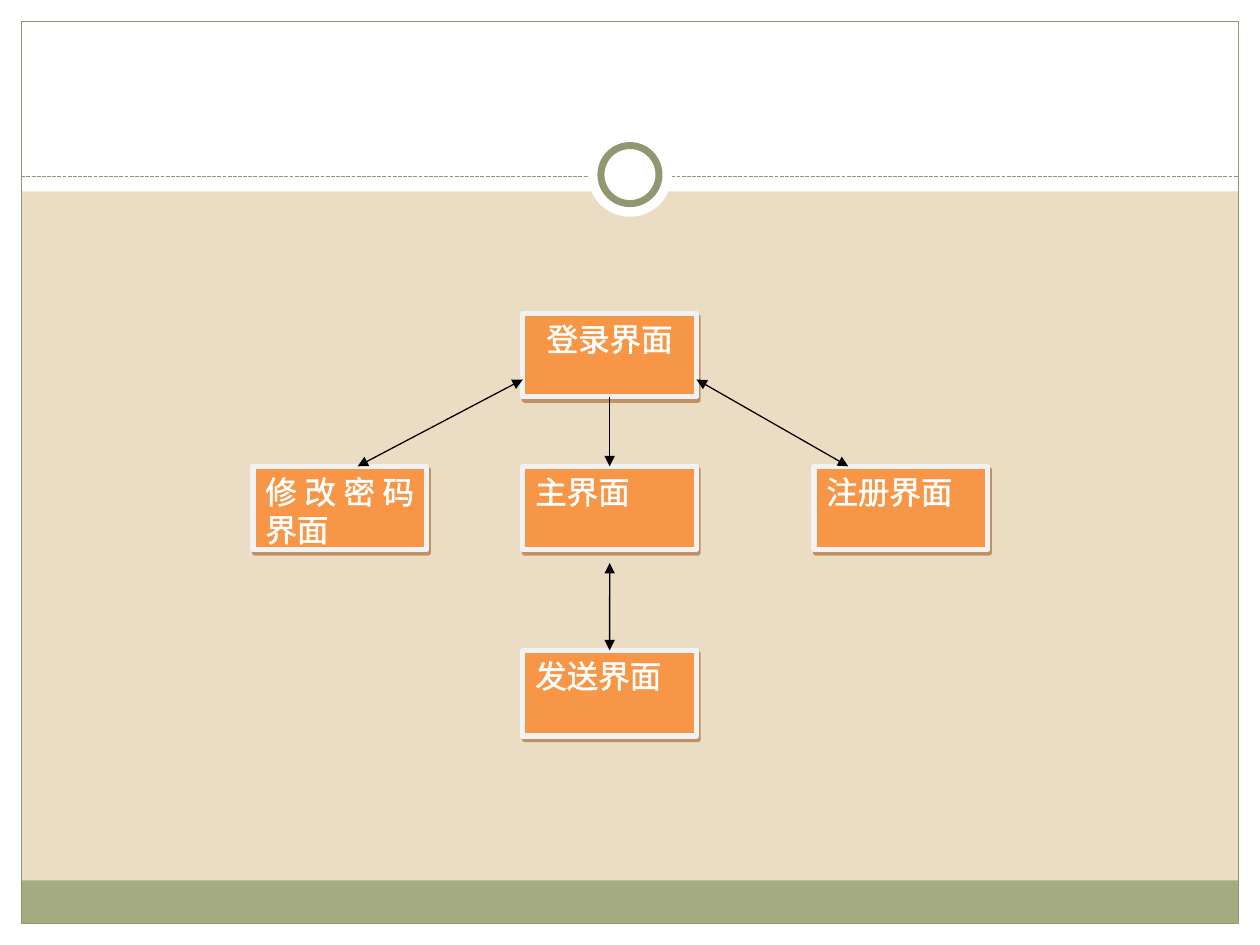
from lxml import etree
from pptx import Presentation
from pptx.dml.color import RGBColor
from pptx.enum.dml import MSO_LINE
from pptx.enum.shapes import MSO_CONNECTOR, MSO_SHAPE
from pptx.enum.text import MSO_ANCHOR, PP_ALIGN
from pptx.oxml.ns import qn
from pptx.util import Cm, Pt

RECT, OVAL = MSO_SHAPE.RECTANGLE, MSO_SHAPE.OVAL
STRAIGHT = MSO_CONNECTOR.STRAIGHT
DASH = MSO_LINE.SQUARE_DOT
CENTER, JUSTIFY = PP_ALIGN.CENTER, PP_ALIGN.JUSTIFY
TOP = MSO_ANCHOR.TOP
TOP_SIDE, BOTTOM_SIDE = 0, 2

COLORS = {
    "sand": "EBDDC3", "white": "FFFFFF", "sage": "A5AB81", "olive": "929772",
    "orange": "F79646", "border": "F2F2F2", "shadow": "974706", "black": "000000",
}
FONT = "Calibri"
SLIDE_W, SLIDE_H = 25.4, 19.05


def rgb(name):
    return RGBColor.from_string(COLORS[name])


def add_child(parent, tag, **attributes):
    return etree.SubElement(parent, qn(tag), attributes)


def add_color(parent, name):
    return add_child(parent, "a:srgbClr", val=COLORS[name])


def add_panel(slide, box, fill=None, line=None, width=0.75, kind=RECT):
    panel = slide.shapes.add_shape(kind, *map(Cm, box))
    panel.shadow.inherit = False
    if fill:
        panel.fill.solid()
        panel.fill.fore_color.rgb = rgb(fill)
    else:
        panel.fill.background()
    if line:
        panel.line.color.rgb = rgb(line)
        panel.line.width = Pt(width)
    else:
        panel.line.fill.background()
    return panel


def add_line(slide, start, end, color):
    line = slide.shapes.add_connector(STRAIGHT, *map(Cm, start + end))
    line.line.color.rgb = rgb(color)
    line.line.width = Pt(0.75)
    add_child(line._element.spPr, "a:effectLst")
    return line


def add_arrow(slide, start, end, both_ways=True):
    arrow = add_line(slide, start, end, "black")
    outline = arrow.line._get_or_add_ln()
    if both_ways:
        add_child(outline, "a:headEnd", type="triangle")
    add_child(outline, "a:tailEnd", type="triangle")
    return arrow


def add_screen(slide, box, label, align=JUSTIFY):
    screen = add_panel(slide, box, "orange", "border", 3)
    # Hard-edged shadow, half transparent
    effects = screen._element.spPr.find(qn("a:effectLst"))
    shadow = add_child(effects, "a:outerShdw", dist=str(Pt(2.2)),
                       dir="3780000", algn="ctr", rotWithShape="0")
    add_child(add_color(shadow, "shadow"), "a:alpha", val="50000")
    # Label with a thin white outline
    frame = screen.text_frame
    frame.word_wrap = True
    frame.vertical_anchor = TOP
    paragraph = frame.paragraphs[0]
    paragraph.alignment = align
    run = paragraph.add_run()
    run.text = label
    run.font.size = Pt(18)
    run.font.name = FONT
    run.font.color.rgb = rgb("white")
    outline = etree.Element(qn("a:ln"), w=str(Pt(1.45)))
    add_color(add_child(outline, "a:solidFill"), "white")
    run.font._element.insert(0, outline)
    return screen


def add_frame(slide, box, header_h):
    left, top, width, height = box
    right, bottom = left + width, top + height
    footer_h = 0.87
    # White margins and header
    for margin in ((0, bottom, SLIDE_W, SLIDE_H - bottom),
                   (0, 0, SLIDE_W, header_h),
                   (0, 0, left, SLIDE_H),
                   (right, 0, SLIDE_W - right, SLIDE_H)):
        add_panel(slide, margin, "white")
    # Footer band, border and dashed divider
    add_panel(slide, (left, bottom - footer_h, width, footer_h), "sage")
    add_panel(slide, box, line="olive")
    divider_y = header_h - 0.3
    divider = add_line(slide, (left, divider_y), (right, divider_y), "olive")
    divider.line.dash_style = DASH
    # Ring over the divider
    center_x, center_y = left + width / 2, divider_y - 0.04
    for size, line in ((1.7, None), (1.17, "olive")):
        add_panel(slide, (center_x - size / 2, center_y - size / 2, size, size),
                  "white", line, 4, OVAL)


def add_screen_map(slide, left, top):
    box_w, box_h = 3.5, 1.68
    middle_x, right_x = left + 5.44, left + 11.31
    row_2, row_3 = top + 3.08, top + 6.79
    # Screens
    add_screen(slide, (left, row_2, box_w, box_h), "修改密码界面")
    login = add_screen(slide, (middle_x, top, box_w, box_h), "登录界面", CENTER)
    add_screen(slide, (right_x, row_2, box_w, box_h), "注册界面")
    main_screen = add_screen(slide, (middle_x, row_2, box_w, box_h), "主界面")
    # Links between screens
    center_x, side_y = middle_x + box_w / 2, top + 1.33
    add_arrow(slide, (left + 2.11, row_2), (middle_x, side_y))
    add_arrow(slide, (middle_x + box_w, side_y), (right_x + 0.69, row_2))
    to_main = add_arrow(slide, (center_x, top + box_h), (center_x, row_2), False)
    to_main.begin_connect(login, BOTTOM_SIDE)
    to_main.end_connect(main_screen, TOP_SIDE)
    sending = add_screen(slide, (middle_x, row_3, box_w, 1.73), "发送界面")
    to_sending = add_arrow(slide, (center_x, row_3 - 1.76), (center_x, row_3))
    to_sending.end_connect(sending, TOP_SIDE)


def main():
    deck = Presentation()
    deck.slide_width, deck.slide_height = Cm(SLIDE_W), Cm(SLIDE_H)
    slide = deck.slides.add_slide(deck.slide_layouts[6])
    slide.background.fill.solid()
    slide.background.fill.fore_color.rgb = rgb("sand")
    add_frame(slide, (0.43, 0.43, 24.54, 18.19), header_h=3.86)
    add_screen_map(slide, left=5.1, top=6.32)
    deck.save("out.pptx")


if __name__ == "__main__":
    main()
